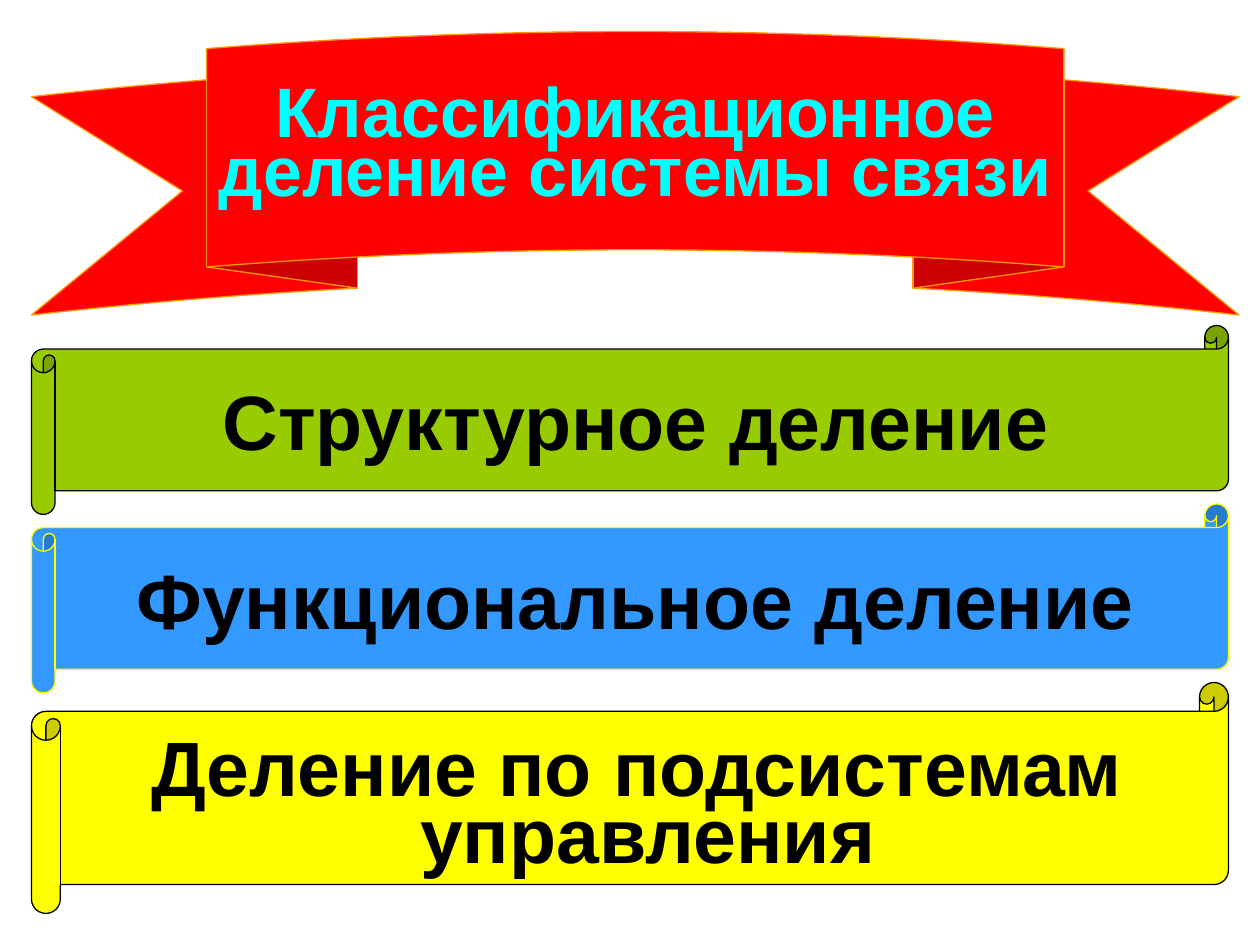
from pptx import Presentation
from pptx.dml.color import RGBColor
from pptx.enum.shapes import MSO_SHAPE as Shape
from pptx.enum.text import MSO_ANCHOR as Anchor, PP_ALIGN as Align
from pptx.util import Inches, Pt

BLACK = RGBColor(0x00, 0x00, 0x00)
GREEN = RGBColor(0x99, 0xCC, 0x00)
BLUE = RGBColor(0x33, 0x99, 0xFF)
YELLOW = RGBColor(0xFF, 0xFF, 0x00)
RED = RGBColor(0xFF, 0x00, 0x00)
ORANGE = RGBColor(0xFF, 0x99, 0x00)
CYAN = RGBColor(0x00, 0xFF, 0xFF)

COLUMNS, ROWS = 120, 90
LEFT = 3
SCROLL_TOP, SCROLL_STEP, SCROLL_WIDTH = 31, 17, 114
TIGHT = 0.7


class SlideBuilder:
    font = {"name": "Arial", "bold": True}
    frame = {"word_wrap": False, "vertical_anchor": Anchor.MIDDLE}

    def __init__(self, presentation):
        self.column = presentation.slide_width / COLUMNS
        self.row = presentation.slide_height / ROWS
        self.slide = presentation.slides.add_slide(presentation.slide_layouts[6])

    def apply(self, target, values):
        for name, value in values.items():
            setattr(target, name, value)

    def figure(self, kind, box, adjustments, fill, outline):
        left, top, width, height = box
        shape = self.slide.shapes.add_shape(
            kind,
            round(left * self.column),
            round(top * self.row),
            round(width * self.column),
            round(height * self.row),
        )
        for index, value in enumerate(adjustments):
            shape.adjustments[index] = value
        shape.shadow.inherit = False
        shape.fill.solid()
        shape.fill.fore_color.rgb = fill
        shape.line.color.rgb = outline
        shape.line.width = Pt(0.75)
        return shape

    def label(self, shape, lines, size, color):
        text_frame = shape.text_frame
        self.apply(text_frame, self.frame)
        for index, (text, spacing) in enumerate(lines):
            paragraph = text_frame.add_paragraph() if index else text_frame.paragraphs[0]
            self.apply(paragraph, {"alignment": Align.CENTER, "line_spacing": spacing})
            run = paragraph.add_run()
            run.text = text
            self.apply(run.font, {**self.font, "size": Pt(size)})
            run.font.color.rgb = color

    def scroll(self, top, height, fill, outline, lines):
        box = (LEFT, top, SCROLL_WIDTH, height)
        shape = self.figure(Shape.HORIZONTAL_SCROLL, box, [0.125], fill, outline)
        self.label(shape, lines, 44, BLACK)

    def ribbon(self, box, lines):
        shape = self.figure(Shape.CURVED_UP_RIBBON, box, [0.23, 0.71, 0.12], RED, ORANGE)
        self.label(shape, lines, 40, CYAN)


def main():
    presentation = Presentation()
    presentation.slide_width, presentation.slide_height = Inches(10), Inches(7.5)
    builder = SlideBuilder(presentation)
    scrolls = [
        (18, GREEN, BLACK, [("Структурное деление", None)]),
        (18, BLUE, YELLOW, [("Функциональное деление", None)]),
        (22, YELLOW, BLACK, [("Деление по подсистемам", None), (" управления", TIGHT)]),
    ]
    for index, (height, fill, outline, lines) in enumerate(scrolls):
        builder.scroll(SCROLL_TOP + index * SCROLL_STEP, height, fill, outline, lines)
    builder.ribbon(
        (LEFT, 3, 115, 27),
        [("Классификационное", TIGHT), ("деление системы связи", TIGHT)],
    )
    presentation.save("out.pptx")


if __name__ == "__main__":
    main()
